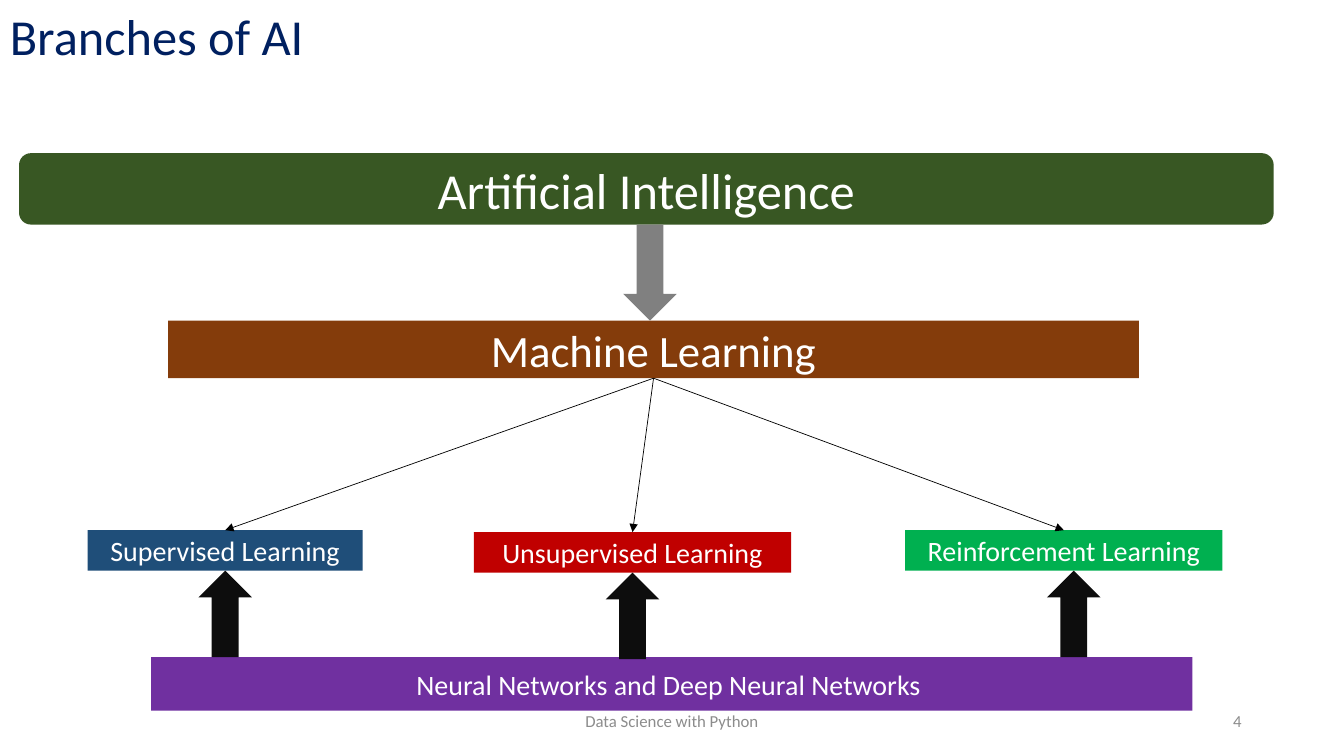
from lxml import etree
from pptx import Presentation
from pptx.dml.color import RGBColor
from pptx.enum.shapes import MSO_CONNECTOR, MSO_SHAPE
from pptx.enum.text import MSO_ANCHOR, PP_ALIGN
from pptx.oxml.ns import qn
from pptx.util import Cm, Pt

FONT = "Calibri"
WHITE = RGBColor(0xFF, 0xFF, 0xFF)
BLACK = RGBColor(0x00, 0x00, 0x00)
NAVY = RGBColor(0x00, 0x20, 0x60)
FOOTER_GREY = RGBColor(0x8C, 0x8C, 0x8C)
DARK_GREEN = RGBColor(0x38, 0x57, 0x23)
BROWN = RGBColor(0x84, 0x3C, 0x0B)
BLUE = RGBColor(0x1F, 0x4E, 0x79)
RED = RGBColor(0xC0, 0x00, 0x00)
GREEN = RGBColor(0x00, 0xB0, 0x50)
PURPLE = RGBColor(0x70, 0x30, 0xA0)
ARROW_GREY = RGBColor(0x80, 0x80, 0x80)
ARROW_BLACK = RGBColor(0x0D, 0x0D, 0x0D)

ARROW_WIDTH = Cm(1.35)

# Text, left, top, width, fill and sideways shift of the arrow below
LEARNING_TYPES = [
    ("Supervised Learning", 2.21, 13.36, 6.93, BLUE, 0),
    ("Unsupervised Learning", 11.94, 13.41, 8, RED, 0),
    ("Reinforcement Learning", 22.81, 13.36, 8, GREEN, 0.25),
]


def write(shape, text, size, color, alignment):
    paragraph = shape.text_frame.paragraphs[0]
    paragraph.text = text
    paragraph.alignment = alignment
    font = paragraph.runs[0].font
    font.name, font.size = FONT, Pt(size)
    font.color.rgb = color


def add_label(slide, box, text, size, color, alignment, wrap=True, anchor=MSO_ANCHOR.MIDDLE):
    label = slide.shapes.add_textbox(*map(Cm, box))
    label.text_frame.word_wrap = wrap
    label.text_frame.vertical_anchor = anchor
    write(label, text, size, color, alignment)


def add_filled(slide, preset, box, fill):
    shape = slide.shapes.add_shape(preset, *box)
    shape.shadow.inherit = False
    shape.fill.solid()
    shape.fill.fore_color.rgb = fill
    shape.line.fill.background()
    return shape


def add_node(slide, box, text, size, fill, preset=MSO_SHAPE.RECTANGLE):
    node = add_filled(slide, preset, [Cm(length) for length in box], fill)
    node.text_frame.vertical_anchor = MSO_ANCHOR.MIDDLE
    write(node, text, size, WHITE, PP_ALIGN.CENTER)
    return node


def center_x(shape):
    return shape.left + shape.width // 2


def bottom(shape):
    return shape.top + shape.height


def add_block_arrow(slide, preset, center, top, height, fill):
    add_filled(slide, preset, (center - ARROW_WIDTH // 2, top, ARROW_WIDTH, height), fill)


def add_branch(slide, parent, child):
    """Draw a thin arrow from the parent's bottom to the child's top."""
    connector = slide.shapes.add_connector(
        MSO_CONNECTOR.STRAIGHT, center_x(parent), bottom(parent), center_x(child), child.top)
    connector.begin_connect(parent, 2)
    connector.end_connect(child, 0)
    connector.line.color.rgb = BLACK
    connector.line.width = Pt(0.5)
    etree.SubElement(connector.line._get_or_add_ln(), qn("a:tailEnd"), type="triangle")
    etree.SubElement(connector._element.spPr, qn("a:effectLst"))


def add_diagram(slide, left, top):
    """Place the AI hierarchy with its top-left corner at the given point in cm."""
    intelligence = add_node(slide, (left, top, 31.62, 1.8), "Artificial Intelligence", 36,
                            DARK_GREEN, MSO_SHAPE.ROUNDED_RECTANGLE)
    machine = add_node(slide, (left + 3.76, top + 4.22, 24.46, 1.45),
                       "Machine Learning", 32, BROWN)
    add_node(slide, (left + 3.33, top + 12.7, 26.24, 1.35),
             "Neural Networks and Deep Neural Networks ", 20, PURPLE)
    add_block_arrow(slide, MSO_SHAPE.DOWN_ARROW,
                    (center_x(intelligence) + center_x(machine)) // 2,
                    bottom(intelligence), machine.top - bottom(intelligence), ARROW_GREY)
    for text, node_left, node_top, width, fill, shift in LEARNING_TYPES:
        box = (left + node_left - 0.48, top + node_top - 3.86, width, 1.02)
        learning = add_node(slide, box, text, 20, fill)
        add_branch(slide, machine, learning)
        add_block_arrow(slide, MSO_SHAPE.UP_ARROW, center_x(learning) + Cm(shift),
                        bottom(learning), Cm(2.18), ARROW_BLACK)


def add_footer(slide, top, height):
    add_label(slide, (11.22, top, 11.43, height), "Data Science with Python", 12,
              FOOTER_GREY, PP_ALIGN.CENTER)
    add_label(slide, (23.92, top, 7.62, height), "4", 12, FOOTER_GREY, PP_ALIGN.RIGHT)


def main():
    presentation = Presentation()
    presentation.slide_width, presentation.slide_height = Cm(33.87), Cm(19.05)
    slide = presentation.slides.add_slide(presentation.slide_layouts[6])
    add_label(slide, (0, 0, 8, 1.8), "Branches of AI", 36, NAVY, PP_ALIGN.LEFT,
              wrap=False, anchor=MSO_ANCHOR.TOP)
    add_footer(slide, 17.65, 1.02)
    add_diagram(slide, 0.48, 3.86)
    presentation.save("out.pptx")


if __name__ == "__main__":
    main()
